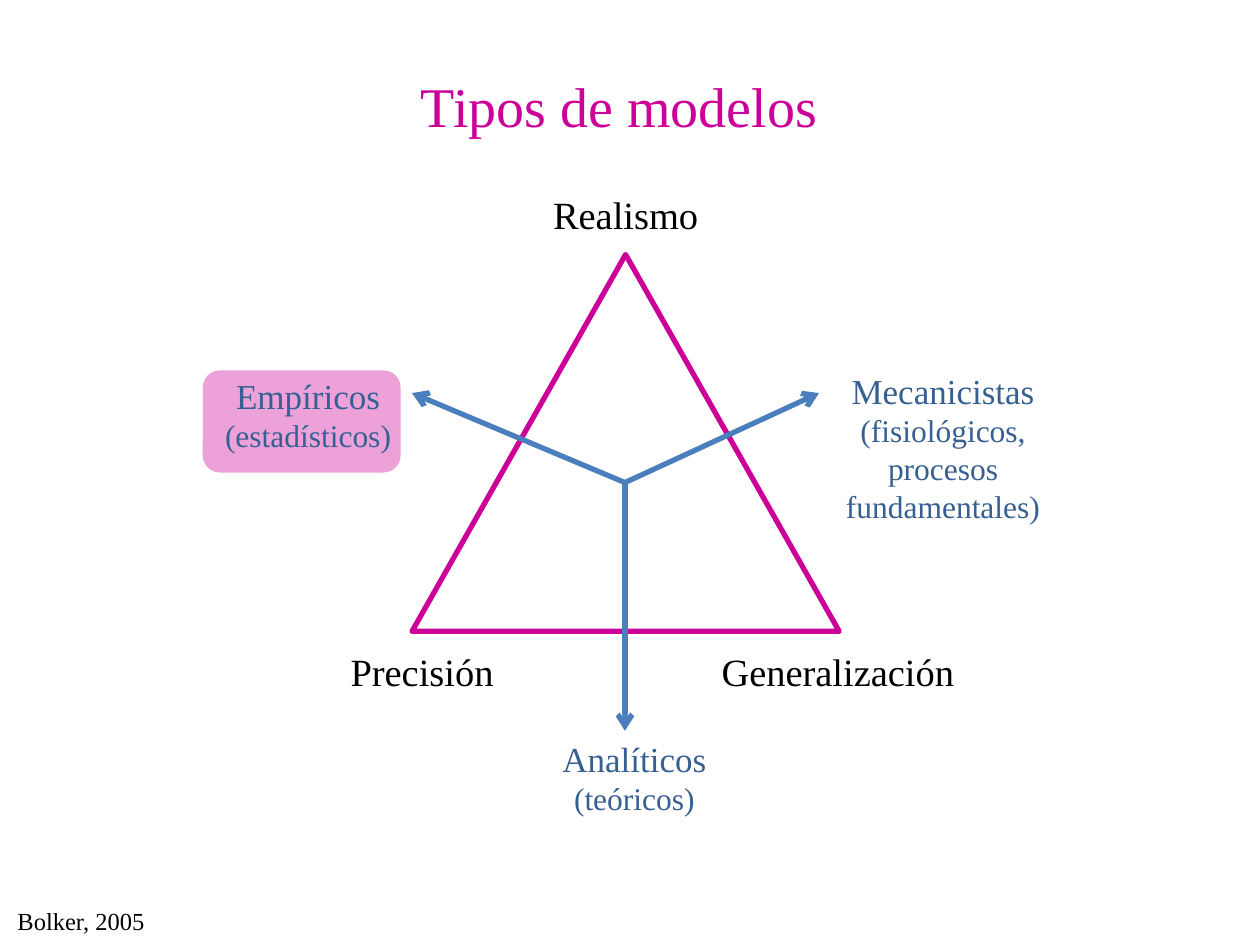
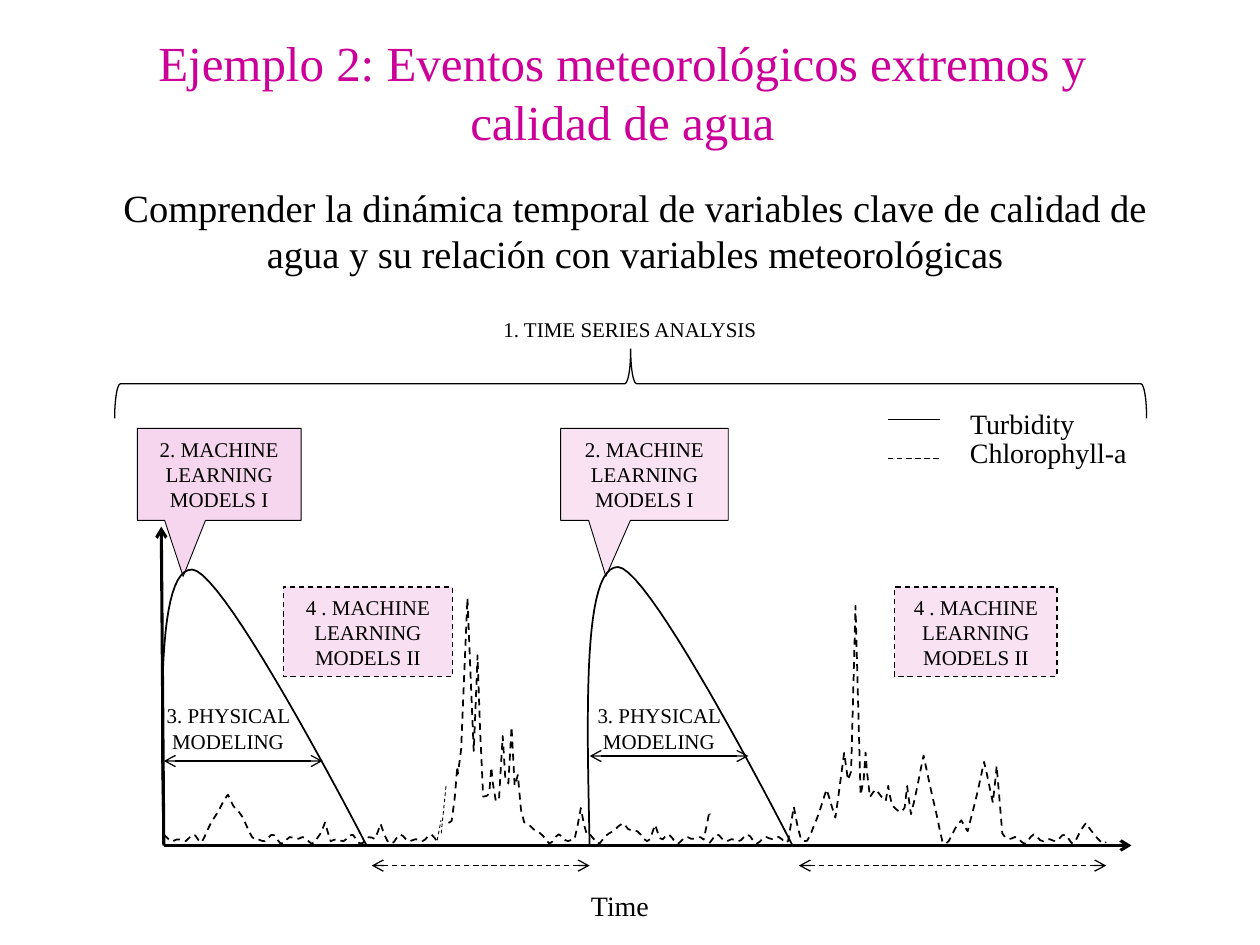
from dataclasses import dataclass
from math import sin

from lxml import etree
from pptx import Presentation
from pptx.dml.color import RGBColor
from pptx.enum.dml import MSO_LINE
from pptx.enum.shapes import MSO_CONNECTOR, MSO_SHAPE
from pptx.enum.text import MSO_ANCHOR, MSO_AUTO_SIZE, PP_ALIGN
from pptx.oxml.ns import qn
from pptx.util import Inches, Pt

DASH = MSO_LINE.DASH
STRAIGHT = MSO_CONNECTOR.STRAIGHT
LEFT, CENTER = PP_ALIGN.LEFT, PP_ALIGN.CENTER
TOP, MIDDLE = MSO_ANCHOR.TOP, MSO_ANCHOR.MIDDLE
RECT, CALLOUT = MSO_SHAPE.RECTANGLE, MSO_SHAPE.RECTANGULAR_CALLOUT
ROUNDED, TRIANGLE, BRACE = MSO_SHAPE.ROUNDED_RECTANGLE, MSO_SHAPE.ISOSCELES_TRIANGLE, MSO_SHAPE.LEFT_BRACE

FONT = "Times New Roman"
MAGENTA, BLUE, NAVY, BLACK = "CC0099", "4B7EBC", "376092", "000000"

# The slide is a grid of 100 columns by 75 rows
WIDTH, HEIGHT = Inches(10), Inches(7.5)
COLS, ROWS = 100, 75
Box = tuple[float, float, float, float]
Point = tuple[float, float]


@dataclass
class Label:
    box: Box
    lines: list[tuple[str, float]]
    color: str = BLACK
    align: PP_ALIGN = CENTER


@dataclass
class Panel:
    shape: MSO_SHAPE
    box: Box
    fill: str | None = None
    opacity: int = 100
    line: str | None = BLACK
    weight: float = 0.75
    dash: MSO_LINE | None = None
    adjust: tuple[float, ...] = ()
    rotation: float = 0
    text: str = ""


@dataclass
class Line:
    start: Point
    end: Point
    color: str = BLACK
    weight: float = 0.75
    dash: MSO_LINE | None = None
    heads: tuple[str, ...] = ()


@dataclass
class Peak:
    x: float
    height: float
    reach: float = 0.5


END, BOTH = ("tailEnd",), ("headEnd", "tailEnd")


def col(n: float) -> int:
    return round(WIDTH * n / COLS)


def row(n: float) -> int:
    return round(HEIGHT * n / ROWS)


def place(box: Box) -> tuple[int, int, int, int]:
    x, y, w, h = box
    return col(x), row(y), col(w), row(h)


def rgb(hex_color: str) -> RGBColor:
    return RGBColor.from_string(hex_color)


def write(tf, lines: list[tuple[str, float]], color: str, align=CENTER, anchor=TOP) -> None:
    frame = {"word_wrap": True, "auto_size": MSO_AUTO_SIZE.NONE, "vertical_anchor": anchor}
    for name, value in frame.items():
        setattr(tf, name, value)
    for i, (text, size) in enumerate(lines):
        p = tf.paragraphs[0] if i == 0 else tf.add_paragraph()
        p.alignment = align
        r = p.add_run()
        r.text = text
        for name, value in {"name": FONT, "size": Pt(size)}.items():
            setattr(r.font, name, value)
        r.font.color.rgb = rgb(color)


def set_line(sp, color: str, weight: float, dash: MSO_LINE | None = None) -> None:
    sp.line.color.rgb = rgb(color)
    sp.line.width = Pt(weight)
    if dash is not None:
        sp.line.dash_style = dash


def add_slide(prs, lines: list[str], box: Box, size: float):
    s = prs.slides.add_slide(prs.slide_layouts[5])
    title = s.shapes.title
    title.left, title.top, title.width, title.height = place(box)
    write(title.text_frame, [(text, size) for text in lines], MAGENTA)
    return s


def add_label(s, label: Label) -> None:
    sp = s.shapes.add_textbox(*place(label.box))
    write(sp.text_frame, label.lines, label.color, label.align)


def add_panel(s, panel: Panel) -> None:
    sp = s.shapes.add_shape(panel.shape, *place(panel.box))
    sp.shadow.inherit = False
    sp.rotation = panel.rotation
    for i, value in enumerate(panel.adjust):
        sp.adjustments[i] = value
    if panel.fill:
        sp.fill.solid()
        sp.fill.fore_color.rgb = rgb(panel.fill)
        clr = sp.element.spPr.find(f"{qn('a:solidFill')}/{qn('a:srgbClr')}")
        etree.SubElement(clr, qn("a:alpha"), val=str(panel.opacity * 1000))
    else:
        sp.fill.background()
    if panel.line:
        set_line(sp, panel.line, panel.weight, panel.dash)
    else:
        sp.line.fill.background()
    if panel.text:
        write(sp.text_frame, [(panel.text, 12)], BLACK, anchor=MIDDLE)


def add_line(s, line: Line) -> None:
    (x1, y1), (x2, y2) = line.start, line.end
    sp = s.shapes.add_connector(STRAIGHT, col(x1), row(y1), col(x2), row(y2))
    set_line(sp, line.color, line.weight, line.dash)
    spPr = sp.element.spPr
    for head in line.heads:
        etree.SubElement(spPr.find(qn("a:ln")), qn(f"a:{head}"), type="arrow")
    etree.SubElement(spPr, qn("a:effectLst"))


def add_path(s, points: list[Point], dash: MSO_LINE | None = None) -> None:
    (x, y), *rest = [(col(px), row(py)) for px, py in points]
    builder = s.shapes.build_freeform(x, y)
    builder.add_line_segments(rest, close=False)
    sp = builder.convert_to_shape()
    sp.shadow.inherit = False
    sp.fill.background()
    set_line(sp, BLACK, 1, dash)


def bezier(a: Point, b: Point, c: Point, d: Point, steps: int = 24) -> list[Point]:
    def at(t: float, i: int) -> float:
        u = 1 - t
        return u**3 * a[i] + 3 * u * u * t * b[i] + 3 * u * t * t * c[i] + t**3 * d[i]
    return [(at(k / steps, 0), at(k / steps, 1)) for k in range(steps + 1)]


AXIS = 67.1


def add_turbidity(s, x: float, peak: float) -> None:
    """One flood pulse: steep rise to the peak, slow fall to the time axis."""
    top = (x + 2.25, peak)
    foot = (x + 16.1, AXIS)
    rise = bezier((x, AXIS), (x - 0.25, 56), (x - 0.5, peak), top)
    fall = bezier(top, (x + 4.9, peak + 0.1), foot, foot)
    add_path(s, rise + fall[1:] + [(x + 22.8, AXIS)])


def add_chlorophyll(s, first: float, last: float, peaks: list[Peak], step: float = 0.25) -> None:
    """A rippling low level with peaks standing out of it."""
    def level(x: float) -> float:
        ripple = 0.5 + 0.2 * sin(5 * x) + 0.2 * sin(3 * x)
        return max([ripple] + [p.height * (1 - abs(x - p.x) / p.reach) + ripple / 2 for p in peaks])
    grid = [first + i * step for i in range(round((last - first) / step) + 1)]
    xs = sorted(grid + [p.x for p in peaks])
    add_path(s, [(x, AXIS - level(x)) for x in xs], DASH)


# Chlorophyll-a: first column, last column, peaks
CHLOROPHYLL = [
    (13, 34.7, [Peak(18.1, 3.8, 2.2), Peak(25.8, 1.5), Peak(30.2, 1.4)]),
    (35.6, 56.3, [
        Peak(36.3, 6), Peak(37.1, 19.5, 0.8), Peak(37.9, 14.7), Peak(39, 6), Peak(39.9, 8.5),
        Peak(40.6, 9), Peak(41.1, 5.5), Peak(38.7, 3.8, 5), Peak(46.1, 2.8), Peak(49.5, 1.5, 2),
        Peak(52, 1.4), Peak(56.3, 2.6)]),
    (56.3, 87.8, [
        Peak(63, 2.7), Peak(65.6, 4, 1.5), Peak(67, 7, 1), Peak(67.9, 18.7), Peak(68.7, 7.3),
        Peak(69.5, 4, 5), Peak(70.5, 4.5), Peak(72, 4.3), Peak(73.3, 6.8, 1.5), Peak(76.3, 1.8, 1),
        Peak(78.1, 6.2, 1.5), Peak(79.1, 6.2), Peak(86.2, 1.5, 1)]),
]


def build_model_types(prs) -> None:
    s = add_slide(prs, ["Tipos de modelos"], (3.5, 5.2, 91.3, 6.4), 32)

    # Trade-off triangle and the highlighted model type
    add_panel(s, Panel(ROUNDED, (16.1, 29.4, 15.7, 8.1), MAGENTA, 37, line=None))
    add_panel(s, Panel(TRIANGLE, (32.7, 20.2, 33.9, 29.9), line=MAGENTA, weight=3))
    for tip in [(32.7, 31.2), (65, 31.2), (49.6, 58)]:
        add_line(s, Line((49.6, 38.3), tip, BLUE, 3, heads=END))

    # Corners
    for text, box in [("Realismo", (40.7, 14.7, 17.9, 4.7)),
                      ("Precisión", (21.7, 50.9, 23.6, 4.7)),
                      ("Generalización", (54.7, 50.9, 23.6, 4.7))]:
        add_label(s, Label(box, [(text, 22)]))

    # Model types
    for name, detail, box in [
            ("Empíricos", "(estadísticos)", (15.4, 29.2, 18.1, 7.4)),
            ("Mecanicistas", "(fisiológicos, procesos fundamentales)", (65, 28.8, 19.7, 16.8)),
            ("Analíticos", "(teóricos)", (41.3, 58, 18.1, 10.8))]:
        add_label(s, Label(box, [(name, 20), (detail, 18)], NAVY))

    add_label(s, Label((0.4, 71.4, 50, 3.4), [("Bolker, 2005", 14)], align=LEFT))


def build_water_quality(prs) -> None:
    s = add_slide(prs, ["Ejemplo 2: Eventos meteorológicos extremos y", "calidad de agua"],
                  (0, 2.1, 98.8, 10.4), 28)
    add_label(s, Label((6.7, 14.1, 87.4, 8.4), [(
        "Comprender la dinámica temporal de variables clave de calidad de agua "
        "y su relación con variables meteorológicas", 22)]))

    # Axes
    for tip in [(12.8, 41.8), (89.8, AXIS)]:
        add_line(s, Line((13, AXIS), tip, weight=1.75, heads=END))
    add_label(s, Label((36.6, 70, 25.2, 3.7), [("Time", 16)]))

    # Curves
    for x, peak in [(13, 45.2), (46.8, 45)]:
        add_turbidity(s, x, peak)
    for first, last, peaks in CHLOROPHYLL:
        add_chlorophyll(s, first, last, peaks)
    for start, end in [((34.7, 66.7), (35, 65.1)), ((35.4, 62.4), (35, 66.3))]:
        add_line(s, Line(start, end, weight=0.5, dash=DASH))

    # Whole period
    add_panel(s, Panel(BRACE, (47.3, -10.5, 5.5, 81.9), rotation=90))
    add_label(s, Label((38.2, 24.6, 23.6, 3), [("1. TIME SERIES ANALYSIS", 12)]))

    # Modelling stages
    for x, w, opacity, tip in [(10.9, 13, 16, -0.22), (44.5, 13.3, 11, -0.23)]:
        add_panel(s, Panel(CALLOUT, (x, 34, w, 7.3), MAGENTA, opacity, weight=0.5,
                           adjust=(tip, 1.11), text="2. MACHINE LEARNING MODELS I"))
    for x, w, opacity in [(22.5, 13.4, 12), (71, 12.9, 11)]:
        add_panel(s, Panel(RECT, (x, 46.6, w, 7.1), MAGENTA, opacity, dash=DASH,
                           text="4 . MACHINE LEARNING MODELS II"))
    for x, w in [(12.2, 11.8), (46.1, 12.4)]:
        add_label(s, Label((x, 55.3, w, 5), [("3. PHYSICAL MODELING", 12)]))

    # Spans
    for x1, x2, y, dash in [(13, 25.6, 60.4, None), (46.8, 59.4, 60, None),
                            (29.5, 46.8, 68.7, DASH), (63.4, 87.8, 68.7, DASH)]:
        add_line(s, Line((x1, y), (x2, y), dash=dash, heads=BOTH))

    # Legend
    for text, y, w, key_y, dash in [("Turbidity", 31.8, 10.9, 33.3, None),
                                    ("Chlorophyll-a", 34.1, 15, 36.4, DASH)]:
        add_line(s, Line((70.5, key_y), (74.6, key_y), dash=dash))
        add_label(s, Label((76, y, w, 3.7), [(text, 16)], align=LEFT))


def main() -> None:
    prs = Presentation()
    prs.slide_width, prs.slide_height = WIDTH, HEIGHT
    build_model_types(prs)
    build_water_quality(prs)
    prs.save("out.pptx")


if __name__ == "__main__":
    main()
